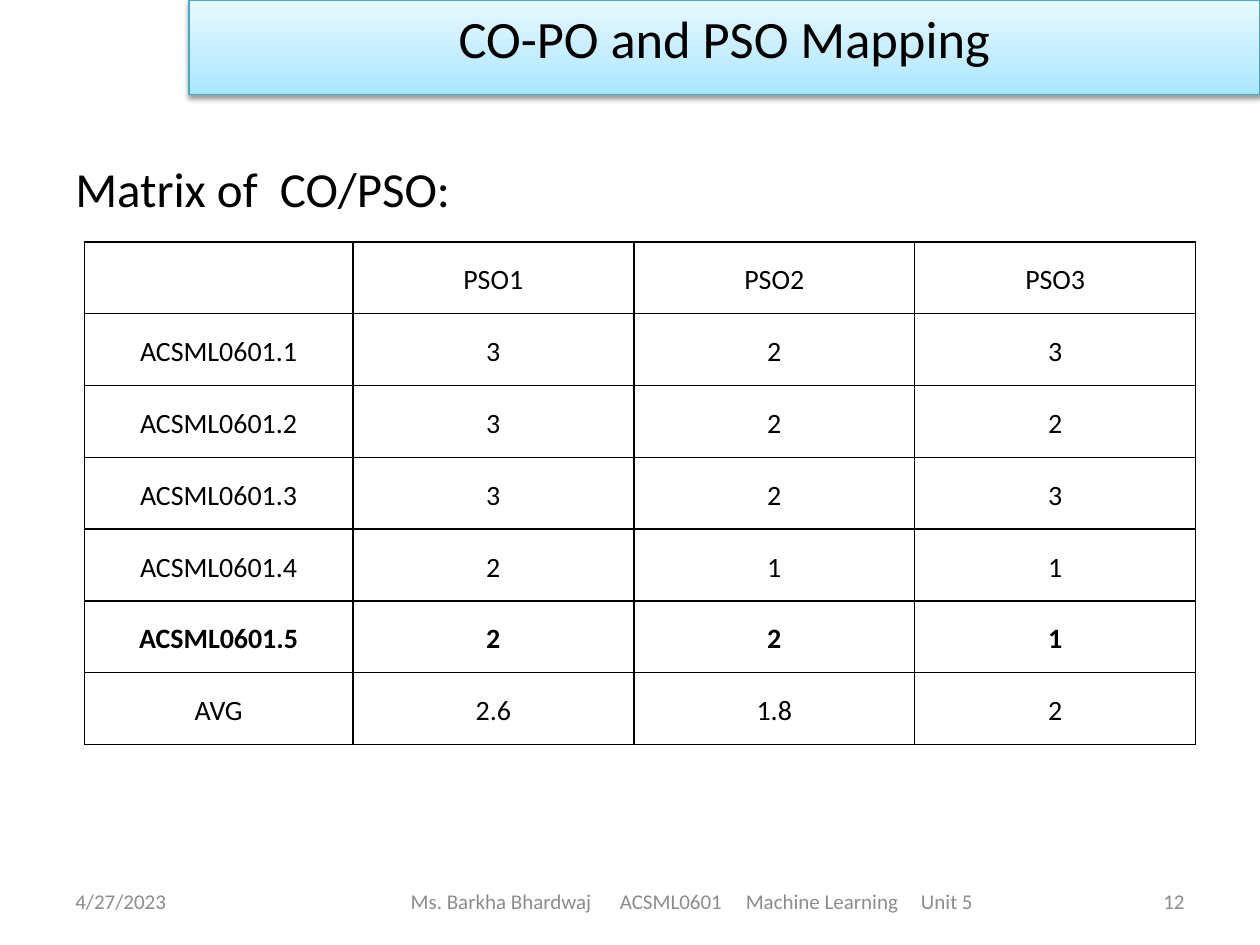
import pptx
import pptx.util
import pptx.dml.color
import pptx.enum.shapes
import pptx.enum.text
import pptx.oxml
import pptx.oxml.ns

Inches = pptx.util.Inches
Pt = pptx.util.Pt
RGBColor = pptx.dml.color.RGBColor
ALIGN = pptx.enum.text.PP_ALIGN
ANCHOR = pptx.enum.text.MSO_ANCHOR

BLACK = RGBColor(0x00, 0x00, 0x00)
GRAY = RGBColor(0x8C, 0x8C, 0x8C)
BANNER_LINE = RGBColor(0x46, 0xAA, 0xC5)
BANNER_STOPS = [
    (0, RGBColor(0xA7, 0xE6, 0xFF)),
    (35, RGBColor(0xC1, 0xED, 0xFF)),
    (100, RGBColor(0xE7, 0xF8, 0xFF)),
]
FONT = "Calibri"
NAMESPACE = pptx.oxml.ns.nsdecls("a")

COLUMN_WIDTHS = [2.13, 2.23, 2.23, 2.23]
ROW_HEIGHT = 0.57
BOLD_ROW = 5
MAPPING = [
    ["", "PSO1", "PSO2", "PSO3"],
    ["ACSML0601.1", "3", "2", "3"],
    ["ACSML0601.2", "3", "2", "2"],
    ["ACSML0601.3", "3", "2", "3"],
    ["ACSML0601.4", "2", "1", "1"],
    ["ACSML0601.5", "2", "2", "1"],
    ["AVG", "2.6", "1.8", "2"],
]


def write_text(frame, text, size=12, color=BLACK, bold=False,
               align=ALIGN.LEFT, spacing=None):
    para = frame.paragraphs[0]
    para.alignment = align
    para.line_spacing = spacing
    span = para.add_run()
    span.text = text
    span.font.name = FONT
    span.font.size = Pt(size)
    span.font.bold = bold
    span.font.color.rgb = color
    return para


def add_text(page, text, left, top, width, height, inset=0.1, **style):
    box = page.shapes.add_textbox(
        Inches(left), Inches(top), Inches(width), Inches(height))
    frame = box.text_frame
    frame.word_wrap = True
    frame.vertical_anchor = ANCHOR.MIDDLE
    frame.margin_left = Inches(inset)
    return write_text(frame, text, **style)


def set_tab_stops(para, positions):
    stops = "".join(
        f'<a:tab pos="{Inches(position)}" algn="l"/>' for position in positions)
    para._p.get_or_add_pPr().append(pptx.oxml.parse_xml(
        f"<a:tabLst {NAMESPACE}>{stops}</a:tabLst>"))


def add_banner(page, text):
    banner = page.shapes.add_shape(
        pptx.enum.shapes.MSO_SHAPE.RECTANGLE,
        Inches(1.5), Inches(0), Inches(8.5), Inches(0.75))
    banner.line.color.rgb = BANNER_LINE
    banner.line.width = Pt(0.75)

    # Three-stop gradient, palest at the top
    stops = "".join(
        f'<a:gs pos="{percent * 1000}"><a:srgbClr val="{color}"/></a:gs>'
        for percent, color in BANNER_STOPS)
    properties = banner._element.spPr
    properties.find(pptx.oxml.ns.qn("a:ln")).addprevious(pptx.oxml.parse_xml(
        f'<a:gradFill {NAMESPACE} rotWithShape="1"><a:gsLst>{stops}</a:gsLst>'
        '<a:lin ang="16200000" scaled="1"/></a:gradFill>'))

    # Soft shadow below
    properties.append(pptx.oxml.parse_xml(
        f'<a:effectLst {NAMESPACE}><a:outerShdw blurRad="{Pt(3.1)}" '
        f'dist="{Pt(1.6)}" dir="5400000" rotWithShape="0">'
        f'<a:srgbClr val="{BLACK}"><a:alpha val="38000"/></a:srgbClr>'
        "</a:outerShdw></a:effectLst>"))

    banner.text_frame.vertical_anchor = ANCHOR.TOP
    write_text(banner.text_frame, text, size=30, align=ALIGN.CENTER)


def add_cell_borders(cell):
    for side in ("lnL", "lnR", "lnT", "lnB"):
        cell._tc.get_or_add_tcPr().append(pptx.oxml.parse_xml(
            f'<a:{side} {NAMESPACE} w="{Pt(1)}"><a:solidFill>'
            f'<a:srgbClr val="{BLACK}"/></a:solidFill></a:{side}>'))


def add_mapping_table(page, left, top):
    table = page.shapes.add_table(
        len(MAPPING), len(COLUMN_WIDTHS), Inches(left), Inches(top),
        Inches(sum(COLUMN_WIDTHS)), Inches(ROW_HEIGHT * len(MAPPING))).table
    table.first_row = False
    table.horz_banding = False
    for column, width in zip(table.columns, COLUMN_WIDTHS):
        column.width = Inches(width)
    for row_index, values in enumerate(MAPPING):
        table.rows[row_index].height = Inches(ROW_HEIGHT)
        for column_index, value in enumerate(values):
            cell = table.cell(row_index, column_index)
            add_cell_borders(cell)
            cell.fill.background()
            cell.vertical_anchor = ANCHOR.MIDDLE
            cell.margin_left = cell.margin_right = Inches(0.07)
            cell.margin_top = cell.margin_bottom = 0
            if value:
                write_text(cell.text_frame, value, size=16, spacing=1.15,
                           bold=row_index == BOLD_ROW, align=ALIGN.CENTER)


def add_footer(page):
    top, height = 6.95, 0.4
    add_text(page, "4/27/2023", 0.5, top, 2.33, height, color=GRAY)
    add_text(page, "12", 7.17, top, 2.33, height, color=GRAY, align=ALIGN.RIGHT)
    course = add_text(
        page, "Ms. Barkha Bhardwaj\tACSML0601\tMachine Learning\tUnit 5",
        2.75, top, 5.5, height, inset=0.51, color=GRAY)
    set_tab_stops(course, [1.66, 2.66, 4.05])


def main():
    deck = pptx.Presentation()
    deck.slide_width = Inches(10)
    deck.slide_height = Inches(7.5)
    page = deck.slides.add_slide(deck.slide_layouts[6])

    # Heading
    add_banner(page, "CO-PO and PSO Mapping")
    add_text(page, "Matrix of  CO/PSO:", 0.5, 1.21, 9.5, 0.57, size=28)

    # Mapping matrix
    add_mapping_table(page, 0.67, 1.92)

    # Date, course and page number
    add_footer(page)
    deck.save("out.pptx")


if __name__ == "__main__":
    main()
